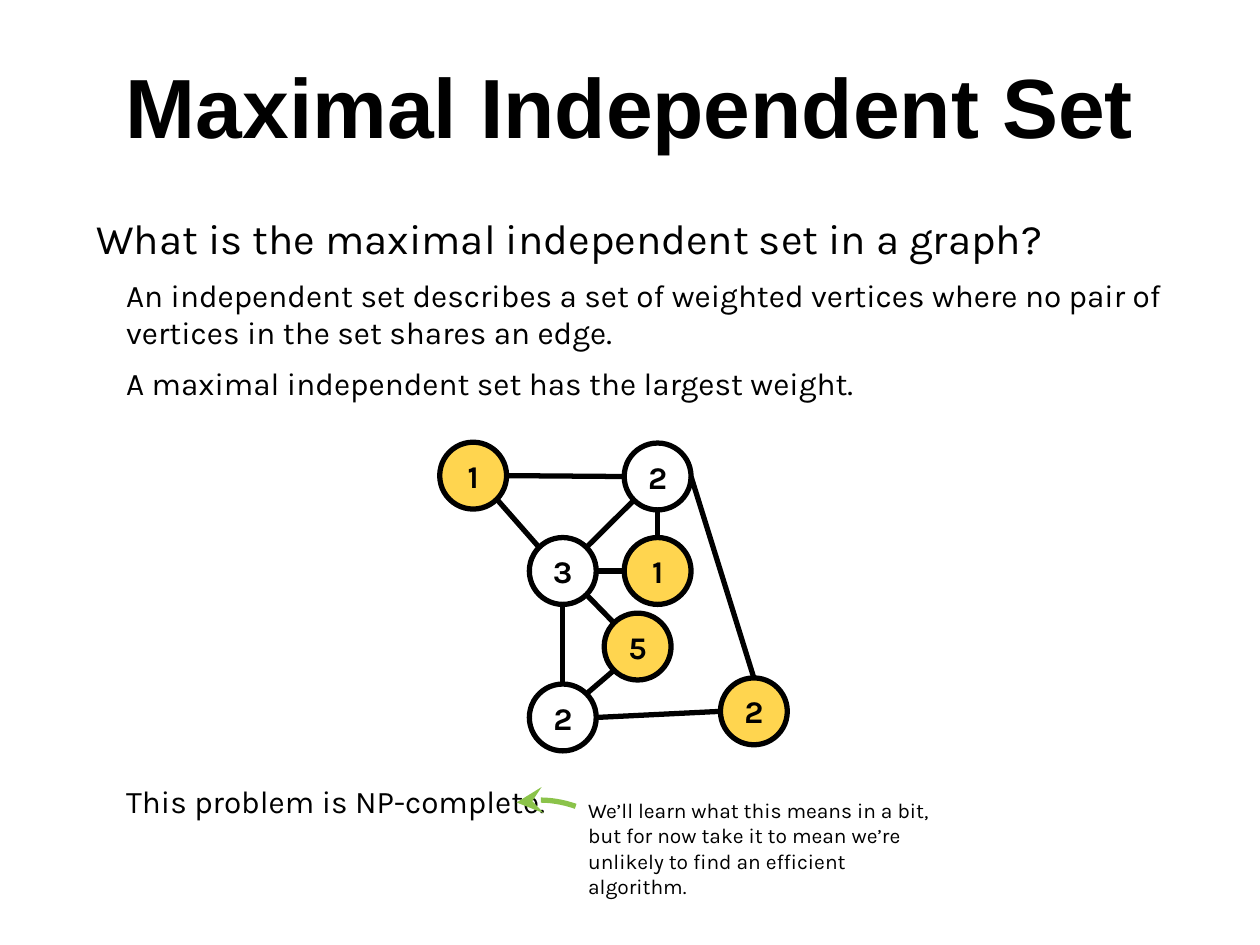
"""Build the Maximal Independent Set slide with its weighted graph."""
from math import cos, radians, sin

from lxml.etree import SubElement
from pptx import Presentation
from pptx.dml.color import RGBColor
from pptx.enum.shapes import MSO_CONNECTOR as CONNECTOR, MSO_SHAPE as SHAPE
from pptx.enum.text import MSO_ANCHOR as ANCHOR, PP_ALIGN as ALIGN
from pptx.oxml.ns import qn
from pptx.util import Pt

BLACK = RGBColor(0x00, 0x00, 0x00)
YELLOW = RGBColor(0xFF, 0xD5, 0x4F)
GREEN = RGBColor(0x8B, 0xC3, 0x4A)
RADIUS = 19.1
MARGIN = 7.2


def set_up_frame(frame):
    frame.word_wrap = True
    frame.margin_left = frame.margin_right = Pt(MARGIN)
    frame.margin_top = frame.margin_bottom = Pt(MARGIN)
    return frame


def add_words(paragraph, words, size, font="Karla", bold=False):
    run = paragraph.add_run()
    run.text = words
    run.font.name = font
    run.font.size = Pt(size)
    run.font.bold = bold
    run.font.color.rgb = BLACK


prs = Presentation()
prs.slide_width, prs.slide_height = Pt(720), Pt(540)
slide = prs.slides.add_slide(prs.slide_layouts[6])
shapes = slide.shapes

explanation = set_up_frame(shapes.add_textbox(Pt(48), Pt(114), Pt(624), Pt(426)).text_frame)
statements = [
    ("What is the maximal independent set in a graph?", 24, 0, 0),
    ("An independent set describes a set of weighted vertices where no pair of "
     "vertices in the set shares an edge.", 18, 17, 7.5),
    ("A maximal independent set has the largest weight.", 18, 17, 7.5),
    ("This problem is NP-complete.", 18, 17, 217),
]
for index, (words, size, indent, gap) in enumerate(statements):
    statement = explanation.add_paragraph() if index else explanation.paragraphs[0]
    statement.space_before = Pt(gap)
    statement._p.get_or_add_pPr().set("marL", str(Pt(indent)))
    add_words(statement, words, size)

title = set_up_frame(shapes.add_textbox(Pt(0), Pt(24), Pt(720), Pt(90)).text_frame)
title.paragraphs[0].alignment = ALIGN.CENTER
add_words(title.paragraphs[0], "Maximal Independent Set", 48, "Arial", True)

vertices = {
    "top left": ("1", 270.4, 271.8, True),
    "top": ("2", 375.8, 272.3, False),
    "hub": ("3", 321.6, 326.3, False),
    "inner": ("1", 375.8, 326.3, True),
    "heavy": ("5", 364.4, 369.5, True),
    "bottom": ("2", 321.6, 410, False),
    "far right": ("2", 430.8, 406.5, True),
}
edges = [
    ("top", 0, "far right", 270),
    ("top left", 0, "top", 180),
    ("top", 135, "hub", 315),
    ("hub", 0, "inner", 180),
    ("inner", 270, "top", 90),
    ("top left", 45, "hub", 225),
    ("hub", 45, "heavy", 225),
    ("hub", 90, "bottom", 270),
    ("heavy", 135, "bottom", 315),
    ("far right", 180, "bottom", 0),
]
for start, start_angle, end, end_angle in edges:
    ends = []
    for vertex, angle in ((start, start_angle), (end, end_angle)):
        _, x, y, _ = vertices[vertex]
        ends += [Pt(x + RADIUS * cos(radians(angle))), Pt(y + RADIUS * sin(radians(angle)))]
    edge = shapes.add_connector(CONNECTOR.STRAIGHT, *ends)
    edge.line.color.rgb = BLACK
    edge.line.width = Pt(3)
    SubElement(edge._element.spPr, qn("a:effectLst"))

for weight, x, y, chosen in vertices.values():
    circle = shapes.add_shape(SHAPE.OVAL, Pt(x - RADIUS), Pt(y - RADIUS),
                              Pt(2 * RADIUS), Pt(2 * RADIUS))
    circle.shadow.inherit = False
    if chosen:
        circle.fill.solid()
        circle.fill.fore_color.rgb = YELLOW
    else:
        circle.fill.background()
    circle.line.color.rgb = BLACK
    circle.line.width = Pt(3)
    label = set_up_frame(circle.text_frame)
    label.vertical_anchor = ANCHOR.MIDDLE
    label.paragraphs[0].alignment = ALIGN.CENTER
    add_words(label.paragraphs[0], weight, 18, bold=True)

bend = [(329, 460.8), (312.5, 455), (295.2, 458.6)]
curve = []
for step in range(13):
    t = step / 12
    shares = ((1 - t) ** 2, 2 * t * (1 - t), t ** 2)
    curve.append(tuple(Pt(sum(s * point[axis] for s, point in zip(shares, bend)))
                       for axis in (0, 1)))
outline = shapes.build_freeform(*curve[0])
outline.add_line_segments(curve[1:], close=False)
pointer = outline.convert_to_shape()
pointer.shadow.inherit = False
pointer.fill.background()
pointer.line.color.rgb = GREEN
pointer.line.width = Pt(3)
SubElement(pointer.line._get_or_add_ln(), qn("a:tailEnd"), type="stealth", w="lg", len="lg")

note = set_up_frame(shapes.add_textbox(Pt(329), Pt(448.6), Pt(216.7), Pt(54.7)).text_frame)
add_words(note.paragraphs[0], "We’ll learn what this means in a bit, but for now take it to mean "
          "we’re unlikely to find an efficient algorithm.", 12)

prs.save("out.pptx")
